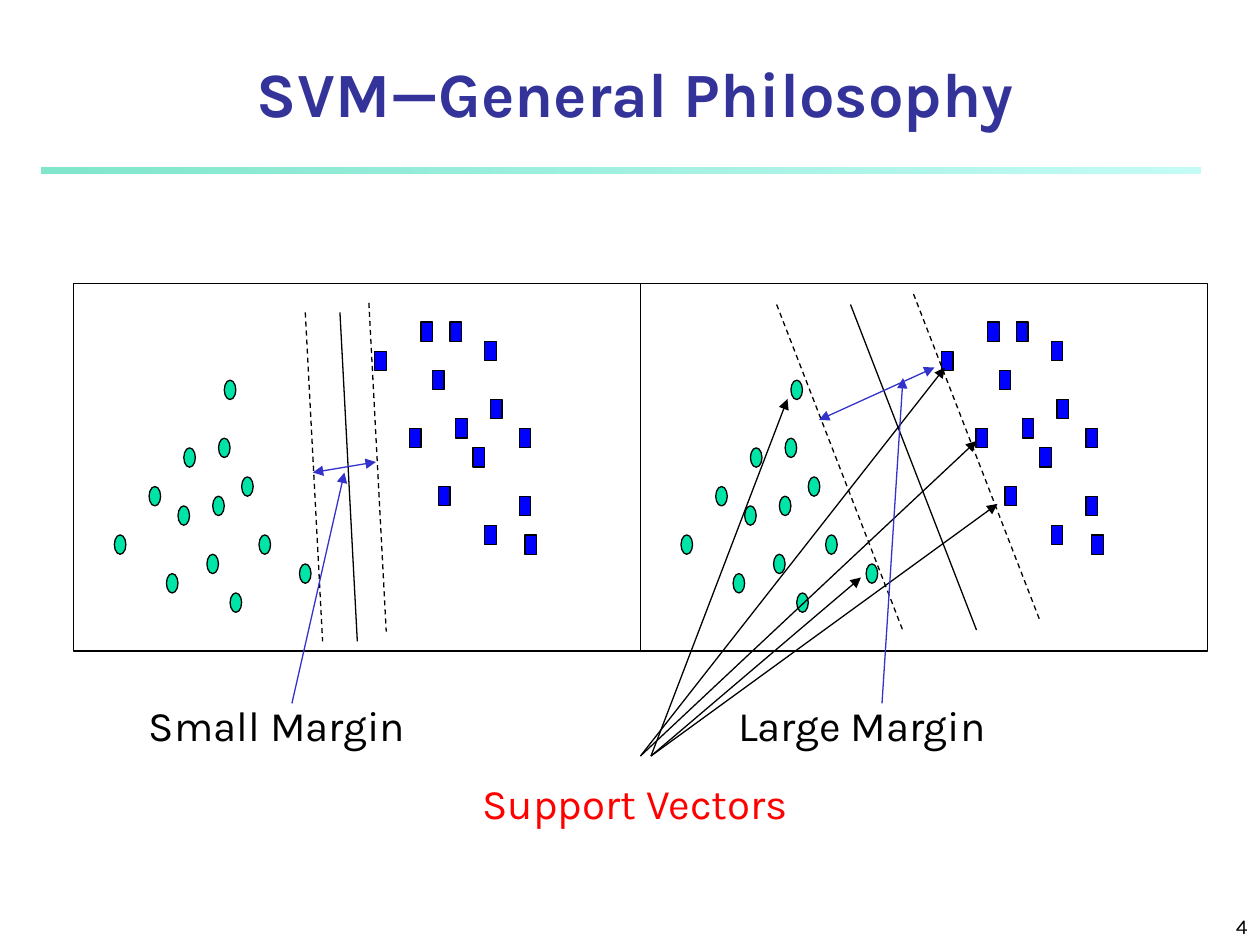
from pptx import Presentation
from pptx import util as u
from pptx.dml.color import RGBColor
from pptx.enum import dml, shapes, text
from pptx.oxml.ns import qn
from lxml import etree

BLACK, BLUE, ARROW_BLUE, GREEN = "000000", "0000FF", "3333CC", "00E4A8"
PANEL_TOP, PANEL_WIDTH, PANEL_HEIGHT = 162, 324, 210
PANEL_LEFTS = (42.2, 366)
COL, ROW = PANEL_WIDTH / 98, PANEL_HEIGHT / 38

CIRCLES = [(16, 30), (18, 23), (7, 26), (13, 21), (23, 28), (19, 17), (24, 22),
           (25, 16), (29, 20), (32, 26), (27, 32), (39, 29), (26, 10)]
SQUARES = [(58, 15), (52, 7), (60, 4), (63, 21), (62, 9), (66, 14), (65, 4),
           (71, 6), (69, 17), (72, 12), (71, 25), (77, 15), (77, 22), (78, 26)]


def color(value):
    return RGBColor.from_string(value)


def points(*values):
    return [u.Pt(value) for value in values]


def write(frame, words, size=24, ink=BLACK, bold=False,
          align=text.PP_ALIGN.LEFT, anchor=text.MSO_ANCHOR.TOP, wrap=False):
    frame.word_wrap = wrap
    frame.vertical_anchor = anchor
    paragraph = frame.paragraphs[0]
    paragraph.alignment = align
    run = paragraph.add_run()
    run.text = words
    run.font.name = "Karla"
    run.font.size = u.Pt(size)
    run.font.bold = bold
    run.font.color.rgb = color(ink)


def add_label(slide, words, box, **style):
    label = slide.shapes.add_textbox(*points(*box))
    write(label.text_frame, words, **style)


def add_outlined(slide, kind, box, fill=None):
    outlined = slide.shapes.add_shape(kind, *points(*box))
    outlined.shadow.inherit = False
    if fill:
        outlined.fill.solid()
        outlined.fill.fore_color.rgb = color(fill)
    else:
        outlined.fill.background()
    outlined.line.color.rgb = color(BLACK)
    outlined.line.width = u.Pt(0.75)


def add_line(slide, start, end, ink=BLACK, dashed=False, ends=()):
    line = slide.shapes.add_connector(
        shapes.MSO_CONNECTOR.STRAIGHT, *points(*start, *end))
    line.line.color.rgb = color(ink)
    line.line.width = u.Pt(0.75)
    if dashed:
        line.line.dash_style = dml.MSO_LINE.DASH
    properties = line._element.spPr
    for end_name in ends:
        etree.SubElement(properties.find(qn("a:ln")), qn(f"a:{end_name}"), type="triangle")
    etree.SubElement(properties, qn("a:effectLst"))


def add_title_rule(slide):
    rule = slide.shapes.add_shape(
        shapes.MSO_SHAPE.RECTANGLE, *points(23.8, 95.8, 662.4, 3.6))
    rule.shadow.inherit = False
    rule.line.fill.background()
    rule.fill.gradient()
    rule.fill.gradient_angle = 0
    tints = (("00CE98", 50), ("8FF9EF", 52))
    for position, (stop, (tint, opacity)) in enumerate(zip(rule.fill.gradient_stops, tints)):
        stop.position = position
        stop.color.rgb = color(tint)
    swatches = rule._element.spPr.iter(qn("a:srgbClr"))
    for swatch, (tint, opacity) in zip(swatches, tints):
        etree.SubElement(swatch, qn("a:alpha"), val=str(opacity * 1000))


def add_panel(slide, left):
    for kind, fill, places in ((shapes.MSO_SHAPE.OVAL, GREEN, CIRCLES),
                               (shapes.MSO_SHAPE.RECTANGLE, BLUE, SQUARES)):
        for col, row in places:
            box = (left + col * COL, PANEL_TOP + row * ROW, 2 * COL, 2 * ROW)
            add_outlined(slide, kind, box, fill)
    add_outlined(slide, shapes.MSO_SHAPE.RECTANGLE,
                 (left, PANEL_TOP, PANEL_WIDTH, PANEL_HEIGHT))


def add_boundaries(slide, starts, run, rise):
    for (x, y), dashed in zip(starts, (True, True, False)):
        add_line(slide, (x, y), (x + run, y + rise), dashed=dashed)


def add_margin(slide, words, box, span, pointer):
    add_label(slide, words, box)
    add_line(slide, *span, ink=ARROW_BLUE, ends=("headEnd", "tailEnd"))
    add_line(slide, *pointer, ink=ARROW_BLUE, ends=("tailEnd",))


def add_support_vectors(slide):
    add_label(slide, "Support Vectors", (268.6, 440.6, 195, 36), ink="FF0000")
    for start_x, target in ((366, (540, 210)), (366, (558, 252)), (372, (570, 288)),
                            (372, (492, 330)), (372, (450, 228))):
        add_line(slide, (start_x, 432), target, ends=("tailEnd",))


def main():
    deck = Presentation()
    deck.slide_width, deck.slide_height = points(720, 540)
    slide = deck.slides.add_slide(deck.slide_layouts[5])
    add_title_rule(slide)
    add_label(slide, "4", (570, 510, 150, 30), size=12, wrap=True,
              align=text.PP_ALIGN.RIGHT, anchor=text.MSO_ANCHOR.BOTTOM)

    title = slide.shapes.title
    title.left, title.top, title.width, title.height = points(24, 30, 678, 48)
    write(title.text_frame, "SVM—General Philosophy", size=36, ink="333399", bold=True,
          align=text.PP_ALIGN.CENTER, anchor=text.MSO_ANCHOR.BOTTOM, wrap=True)

    small_panel, large_panel = PANEL_LEFTS
    add_panel(slide, small_panel)
    small_starts = [(small_panel + col * COL, PANEL_TOP + row * ROW)
                    for col, row in ((51, 2), (40, 3), (46, 3))]
    add_boundaries(slide, small_starts, 3 * COL, 34 * ROW)
    add_panel(slide, large_panel)
    add_boundaries(slide, ((443.8, 174), (522, 168), (486, 174)), 72, 186)

    add_support_vectors(slide)
    add_margin(slide, "Small Margin", (78, 396, 163, 36),
               ((178.8, 270), (214.8, 264)), ((166.8, 402), (196.8, 270)))
    add_margin(slide, "Large Margin", (414.8, 396, 165.6, 36),
               ((468, 240), (534, 210)), ((504, 402), (516, 216)))
    deck.save("out.pptx")


if __name__ == "__main__":
    main()
